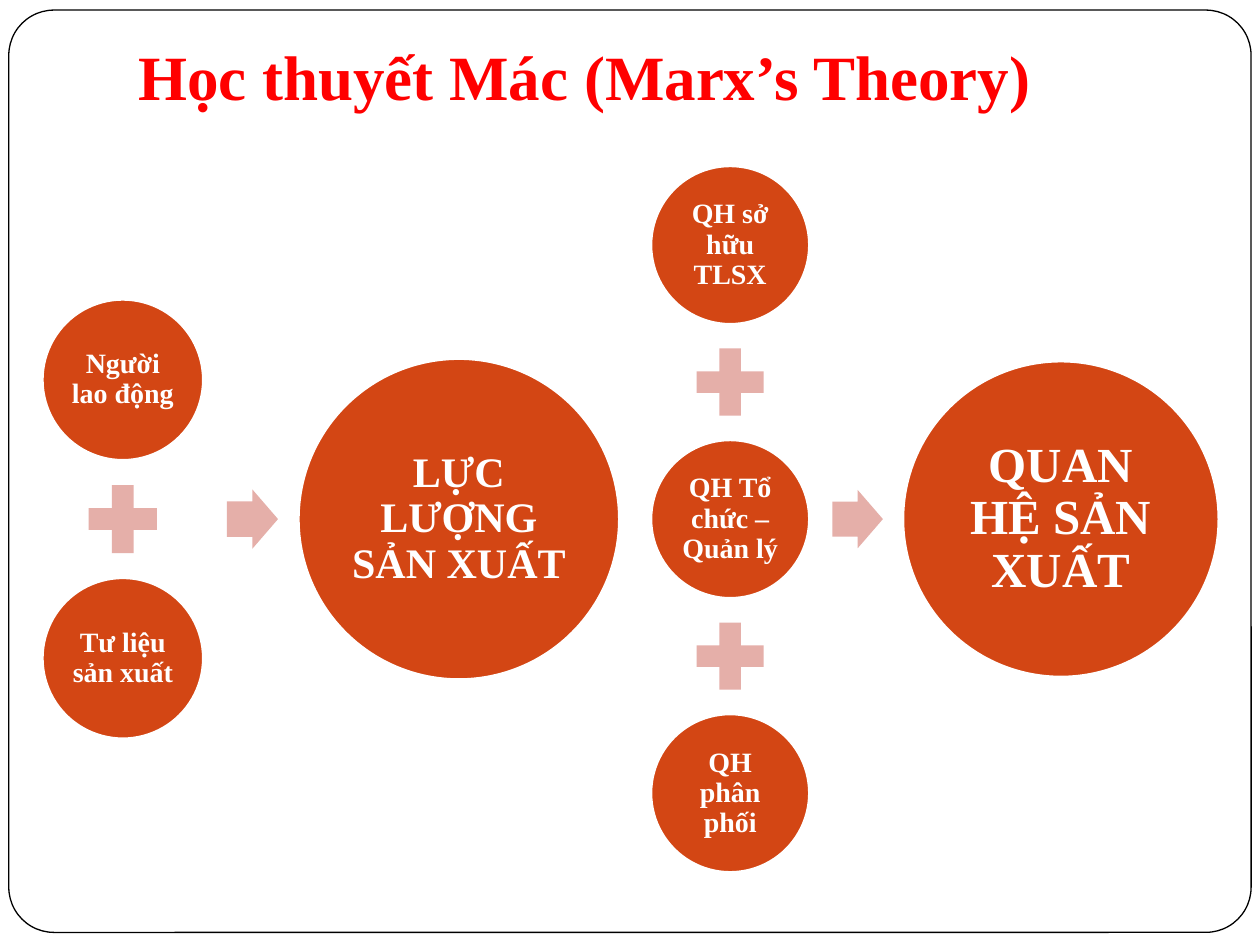
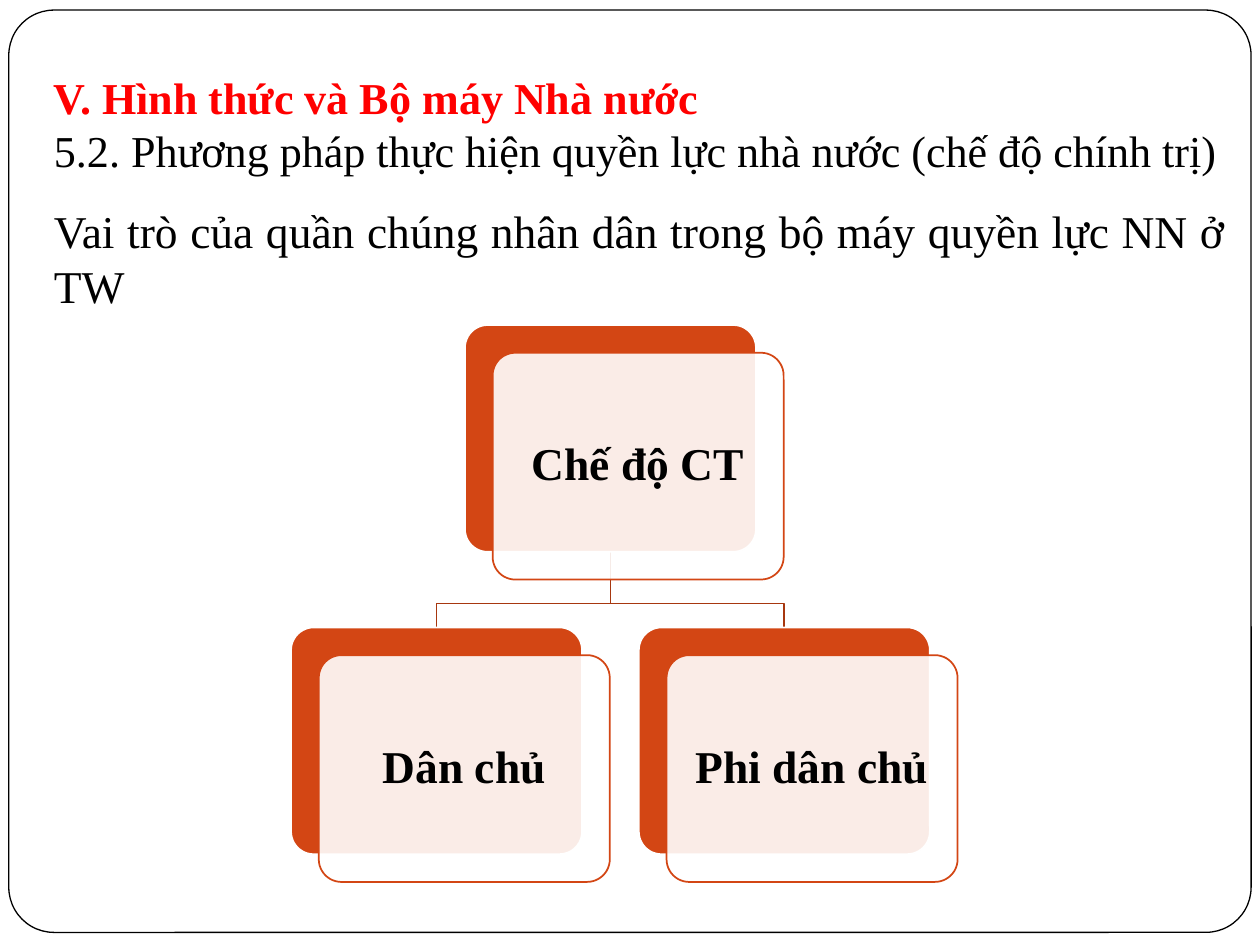
import pptx
import pptx.util
import pptx.dml.color
import pptx.enum.shapes
import pptx.enum.text
import pptx.oxml
import pptx.oxml.ns

Inches = pptx.util.Inches
Pt = pptx.util.Pt
RGBColor = pptx.dml.color.RGBColor
SHAPE = pptx.enum.shapes.MSO_SHAPE
ANCHOR = pptx.enum.text.MSO_ANCHOR
ALIGN = pptx.enum.text.PP_ALIGN

FONT = "Times New Roman"
WHITE = RGBColor(0xFF, 0xFF, 0xFF)
BLACK = RGBColor(0x00, 0x00, 0x00)
RED = RGBColor(0xFF, 0x00, 0x00)
ORANGE = RGBColor(0xD3, 0x46, 0x14)
PINK = RGBColor(0xE5, 0xAF, 0xA9)
BROWN = RGBColor(0xA7, 0x37, 0x0F)

MIDDLE = 4.12
CARD_WIDTH, CARD_HEIGHT = 2.31, 1.8
CARD_OFFSET = 0.22


def style_paragraph(para, text, size, color, bold, align):
    """Write one paragraph in the shared font."""
    para.text = text
    para.alignment = align
    para.font.name = FONT
    para.font.size = Pt(size)
    para.font.bold = bold
    para.font.color.rgb = color


def add_shape(page, kind, left, top, width, height, fill, line=None, weight=1, adjust=()):
    """Draw a flat preset shape."""
    shape = page.shapes.add_shape(
        kind, Inches(left), Inches(top), Inches(width), Inches(height))
    shape.shadow.inherit = False
    shape.fill.solid()
    shape.fill.fore_color.rgb = fill
    if line is None:
        shape.line.fill.background()
    else:
        shape.line.color.rgb = line
        shape.line.width = Pt(weight)
    for index, value in enumerate(adjust):
        shape.adjustments[index] = value
    return shape


def add_label(shape, text, size, color, inset):
    """Centre a bold label inside a shape."""
    frame = shape.text_frame
    frame.word_wrap = True
    frame.vertical_anchor = ANCHOR.MIDDLE
    frame.margin_left = frame.margin_right = Inches(inset)
    frame.margin_top = frame.margin_bottom = Inches(inset)
    para = frame.paragraphs[0]
    style_paragraph(para, text, size, color, True, ALIGN.CENTER)
    para.line_spacing = 0.9


def add_text(page, left, top, width, height, lines, anchor=ANCHOR.BOTTOM,
             align=ALIGN.LEFT, margin_top=0.05):
    """Place a text box; each line is (text, size, color, bold)."""
    box = page.shapes.add_textbox(
        Inches(left), Inches(top), Inches(width), Inches(height))
    frame = box.text_frame
    frame.word_wrap = True
    frame.vertical_anchor = anchor
    frame.margin_top = Inches(margin_top)
    frame.margin_bottom = Inches(0.1)
    for index, line in enumerate(lines):
        para = frame.add_paragraph() if index else frame.paragraphs[0]
        style_paragraph(para, *line, align)


def add_page(deck):
    """Add a blank page with the rounded border."""
    page = deck.slides.add_slide(deck.slide_layouts[6])
    add_shape(page, SHAPE.ROUNDED_RECTANGLE, 0.07, 0.08, 9.86, 7.32,
              WHITE, BLACK, 0.75, [0.049])
    return page


def add_circle(page, left, center, size, text, text_size, inset):
    """Draw a labelled circle around a vertical centre."""
    circle = add_shape(page, SHAPE.OVAL, left, center - size / 2, size, size, ORANGE, WHITE)
    add_label(circle, text, text_size, WHITE, inset)


def add_equation(page, left, size, terms, total, total_size):
    """Stack term circles joined by pluses, then an arrow to the total."""
    pitch, plus = 1.74 * size, 0.58 * size
    first = MIDDLE - pitch * (len(terms) - 1) / 2
    for index, term in enumerate(terms):
        center = first + index * pitch
        if index:
            add_shape(page, SHAPE.MATH_PLUS, left + (size - plus) / 2,
                      center - pitch / 2 - plus / 2, plus, plus, PINK, adjust=[0.235])
        add_circle(page, left, center, size, term, 16, 0.02)
    arrow_height = 0.37 * size
    add_shape(page, SHAPE.RIGHT_ARROW, left + 1.15 * size, MIDDLE - arrow_height / 2,
              0.32 * size, arrow_height, PINK, adjust=[0.6, 0.5])
    add_circle(page, left + 1.6 * size, MIDDLE, 2 * size, total, total_size, 0.03)


def add_branch(page, parent, child):
    """Draw the elbow line from a parent card to a child card."""
    start_x, end_x = (Inches(card[0] + CARD_WIDTH / 2) for card in (parent, child))
    start_y, end_y = Inches(parent[1] + CARD_HEIGHT), Inches(child[1])
    bend = end_y - Inches(0.19)
    builder = page.shapes.build_freeform(start_x, start_y)
    builder.add_line_segments([(start_x, bend), (end_x, bend), (end_x, end_y)], close=False)
    branch = builder.convert_to_shape()
    branch.shadow.inherit = False
    branch.fill.background()
    branch.line.color.rgb = BROWN
    branch.line.width = Pt(1)


def add_card(page, left, top, text):
    """Draw an orange card with a translucent labelled card over it."""
    add_shape(page, SHAPE.ROUNDED_RECTANGLE, left, top, CARD_WIDTH, CARD_HEIGHT,
              ORANGE, WHITE, adjust=[0.1])
    front = add_shape(page, SHAPE.ROUNDED_RECTANGLE, left + CARD_OFFSET, top + CARD_OFFSET,
                      CARD_WIDTH, CARD_HEIGHT, WHITE, ORANGE, adjust=[0.1])
    color = front.fill._xPr.find(".//" + pptx.oxml.ns.qn("a:srgbClr"))
    color.append(pptx.oxml.parse_xml(
        f'<a:alpha {pptx.oxml.ns.nsdecls("a")} val="90000"/>'))
    add_label(front, text, 26, BLACK, 0.11)


def build_theory(deck):
    """Build the page on productive forces and relations."""
    page = add_page(deck)
    add_text(page, 1, 0.3, 8.5, 1.25, [("Học thuyết Mác (Marx’s Theory)", 36, RED, True)],
             anchor=ANCHOR.TOP, margin_top=0)
    add_equation(page, 0.34, 1.27, ["Người lao động", "Tư liệu sản xuất"],
                 "LỰC LƯỢNG SẢN XUẤT", 24)
    add_equation(page, 5.17, 1.25, ["QH sở hữu TLSX", "QH Tổ chức – Quản lý", "QH phân phối"],
                 "QUAN HỆ SẢN XUẤT", 28)


def build_regime(deck):
    """Build the page on political regimes."""
    page = add_page(deck)
    add_text(page, 0.33, 0.5, 9.5, 1, [
        ("V. Hình thức và Bộ máy Nhà nước", 25.2, RED, True),
        ("5.2. Phương pháp thực hiện quyền lực nhà nước (chế độ chính trị)", 25.2, BLACK, False),
    ])
    add_text(page, 0.33, 1.5, 9.5, 1.08, [
        ("Vai trò của quần chúng nhân dân trong bộ máy quyền lực NN ở TW", 26, BLACK, False),
    ], align=ALIGN.JUSTIFY)
    root = (3.69, 2.58, "Chế độ CT")
    children = [(2.31, 4.98, "Dân chủ"), (5.07, 4.98, "Phi dân chủ")]
    for child in children:
        add_branch(page, root, child)
    for card in [root, *children]:
        add_card(page, *card)


def main():
    """Build and save the deck."""
    deck = pptx.Presentation()
    deck.slide_width = Inches(10)
    deck.slide_height = Inches(7.5)
    build_theory(deck)
    build_regime(deck)
    deck.save("out.pptx")


if __name__ == "__main__":
    main()
